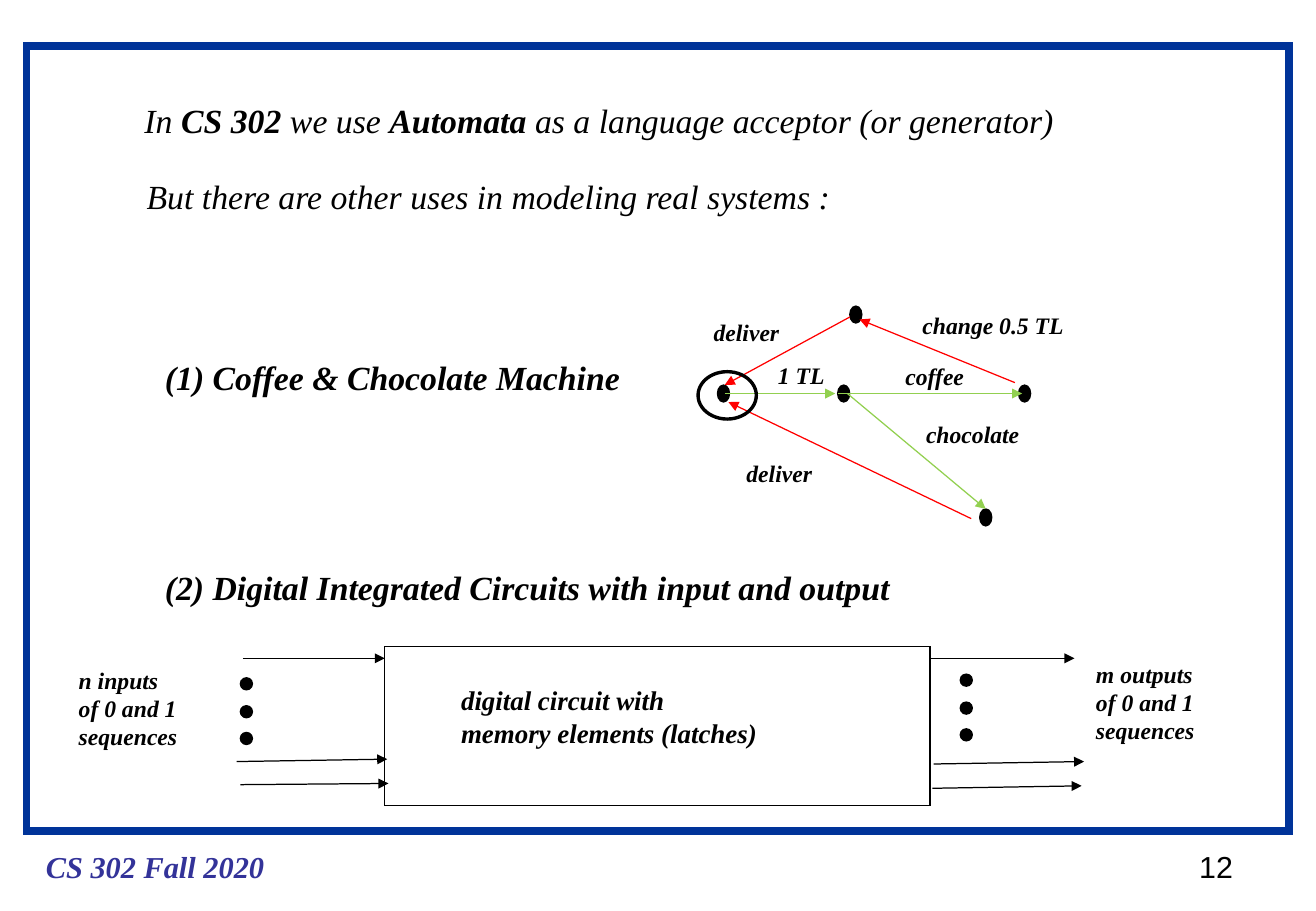
from pptx import Presentation
from pptx.dml.color import RGBColor
from pptx.enum.shapes import MSO_CONNECTOR, MSO_SHAPE
from pptx.enum.text import MSO_ANCHOR, MSO_AUTO_SIZE, PP_ALIGN
from pptx.oxml.ns import qn
from pptx.util import Inches, Pt
from lxml.etree import SubElement

BLACK, WHITE, NAVY, VIOLET = "000000", "FFFFFF", "003399", "333399"
GREEN, RED = "92D050", "FF0000"
SERIF = "Times New Roman"
STATE_W, STATE_H, DOT = 0.1, 0.14, 0.1


def rgb(value):
    """Turn a hex string into a colour."""
    return RGBColor.from_string(value)


def set_font(font, size, color=BLACK, bold=True, italic=True, name=SERIF):
    """Apply one typeface style to a font."""
    font.name, font.size = name, Pt(size)
    font.bold, font.italic = bold, italic
    font.color.rgb = rgb(color)


def add_text(slide, box, lines, size, **style):
    """Add a text box with one paragraph per line."""
    tf = slide.shapes.add_textbox(*map(Inches, box)).text_frame
    tf.word_wrap = True
    tf.text = lines
    for p in tf.paragraphs:
        set_font(p.font, size, **style)


def add_title(slide, box, runs, size):
    """Place the title placeholder and fill it with (text, bold) runs."""
    sp = slide.shapes.title
    sp.left, sp.top, sp.width, sp.height = map(Inches, box)
    tf = sp.text_frame
    tf.word_wrap = True
    tf.auto_size = MSO_AUTO_SIZE.NONE
    tf.vertical_anchor = MSO_ANCHOR.TOP
    p = tf.paragraphs[0]
    p.alignment = PP_ALIGN.LEFT
    for text, bold in runs:
        r = p.add_run()
        r.text = text
        set_font(r.font, size, bold=bold)


def add_outline(shapes, kind, box, fill=None, line=BLACK, width=0.75):
    """Add a preset shape with an optional fill and sharp corners."""
    sp = shapes.add_shape(kind, *map(Inches, box))
    sp.shadow.inherit = False
    if fill:
        sp.fill.solid()
        sp.fill.fore_color.rgb = rgb(fill)
    else:
        sp.fill.background()
    sp.line.color.rgb = rgb(line)
    sp.line.width = Pt(width)
    SubElement(sp.line._get_or_add_ln(), qn("a:miter"), lim="800000")


def add_arrow(slide, start, end, color=BLACK):
    """Add a thin straight arrow between two points."""
    cxn = slide.shapes.add_connector(
        MSO_CONNECTOR.STRAIGHT, *map(Inches, (*start, *end)))
    cxn.line.color.rgb = rgb(color)
    cxn.line.width = Pt(0.75)
    SubElement(cxn.line._get_or_add_ln(), qn("a:tailEnd"), type="triangle")
    SubElement(cxn._element.spPr, qn("a:effectLst"))


def add_dots(slide, left, top):
    """Add a grouped column of three dots standing for more wires."""
    group = slide.shapes.add_group_shape()
    for offset in (0, 0.23, 0.45):
        add_outline(group.shapes, MSO_SHAPE.OVAL,
                    (left, top + offset, DOT, DOT), BLACK)


def add_machine(slide):
    """Draw the coffee and chocolate automaton."""
    for left, top in [(5.91, 3.17), (6.9, 3.17), (8.07, 4.19),
                      (7, 2.52), (8.39, 3.17)]:
        add_outline(slide.shapes, MSO_SHAPE.OVAL,
                    (left, top, STATE_W, STATE_H), BLACK)
    for start, end, color in [((5.97, 3.24), (6.88, 3.24), GREEN),
                              ((6.9, 3.24), (8.42, 3.24), GREEN),
                              ((6.98, 3.24), (8.12, 4.19), GREEN),
                              ((8, 4.27), (6, 3.31), RED),
                              ((8.36, 3.15), (7.08, 2.63), RED),
                              ((7, 2.61), (5.97, 3.17), RED)]:
        add_arrow(slide, start, end, color)
    for left, top, width, label in [(6.31, 2.92, 0.7, "1 TL"),
                                    (7.53, 3.41, 1.1, "chocolate"),
                                    (7.36, 2.93, 0.8, "coffee"),
                                    (6.05, 3.73, 0.85, "deliver"),
                                    (7.5, 2.51, 1.5, "change 0.5 TL"),
                                    (5.78, 2.57, 0.85, "deliver")]:
        add_text(slide, (left, top, width, 0.34), label, 14)
    add_outline(slide.shapes, MSO_SHAPE.OVAL, (5.75, 3.06, 0.48, 0.39), width=2)


def add_circuit(slide):
    """Draw the digital circuit with its inputs and outputs."""
    add_outline(slide.shapes, MSO_SHAPE.RECTANGLE, (3.17, 5.32, 4.49, 1.31), WHITE)
    for start, end in [((2, 5.42), (3.17, 5.42)),
                       ((1.95, 6.27), (3.19, 6.25)),
                       ((1.98, 6.46), (3.2, 6.45)),
                       ((7.66, 5.42), (8.85, 5.42)),
                       ((7.69, 6.29), (8.93, 6.27)),
                       ((7.68, 6.49), (8.91, 6.47))]:
        add_arrow(slide, start, end)
    add_dots(slide, 1.98, 5.58)
    add_dots(slide, 7.91, 5.55)
    add_text(slide, (0.55, 5.43, 1.15, 0.8), "n inputs\nof 0 and 1\nsequences", 14)
    add_text(slide, (3.7, 5.58, 2.8, 0.64),
             "digital circuit with\nmemory elements (latches)", 16)
    add_text(slide, (8.93, 5.38, 1.53, 0.8),
             "m outputs\nof 0 and 1\nsequences", 14)


def main():
    """Build the slide and save it."""
    prs = Presentation()
    prs.slide_width, prs.slide_height = Inches(10.84), Inches(7.5)
    slide = prs.slides.add_slide(prs.slide_layouts[5])
    add_outline(slide.shapes, MSO_SHAPE.RECTANGLE, (0.22, 0.38, 10.4, 6.46),
                line=NAVY, width=4.5)
    add_text(slide, (0.28, 6.93, 2.2, 0.4), "CS 302 Fall 2020", 18, color=VIOLET)
    add_text(slide, (9.78, 6.93, 0.6, 0.4), "12", 18,
             bold=False, italic=False, name="Arial")
    add_title(slide, (1.09, 0.77, 8, 0.44),
              [("In ", False), ("CS 302", True), (" we use ", False),
               ("Automata ", True),
               ("as a language acceptor (or generator)", False)], 20)
    add_text(slide, (1.11, 1.4, 6.1, 0.44),
             "But there are other uses in modeling real systems :", 20, bold=False)
    add_text(slide, (1.26, 2.89, 4.15, 0.44), "(1) Coffee & Chocolate Machine", 20)
    add_text(slide, (1.26, 4.62, 6.4, 0.44),
             "(2) Digital Integrated Circuits with input and output", 20)
    add_machine(slide)
    add_circuit(slide)
    prs.save("out.pptx")


if __name__ == "__main__":
    main()
